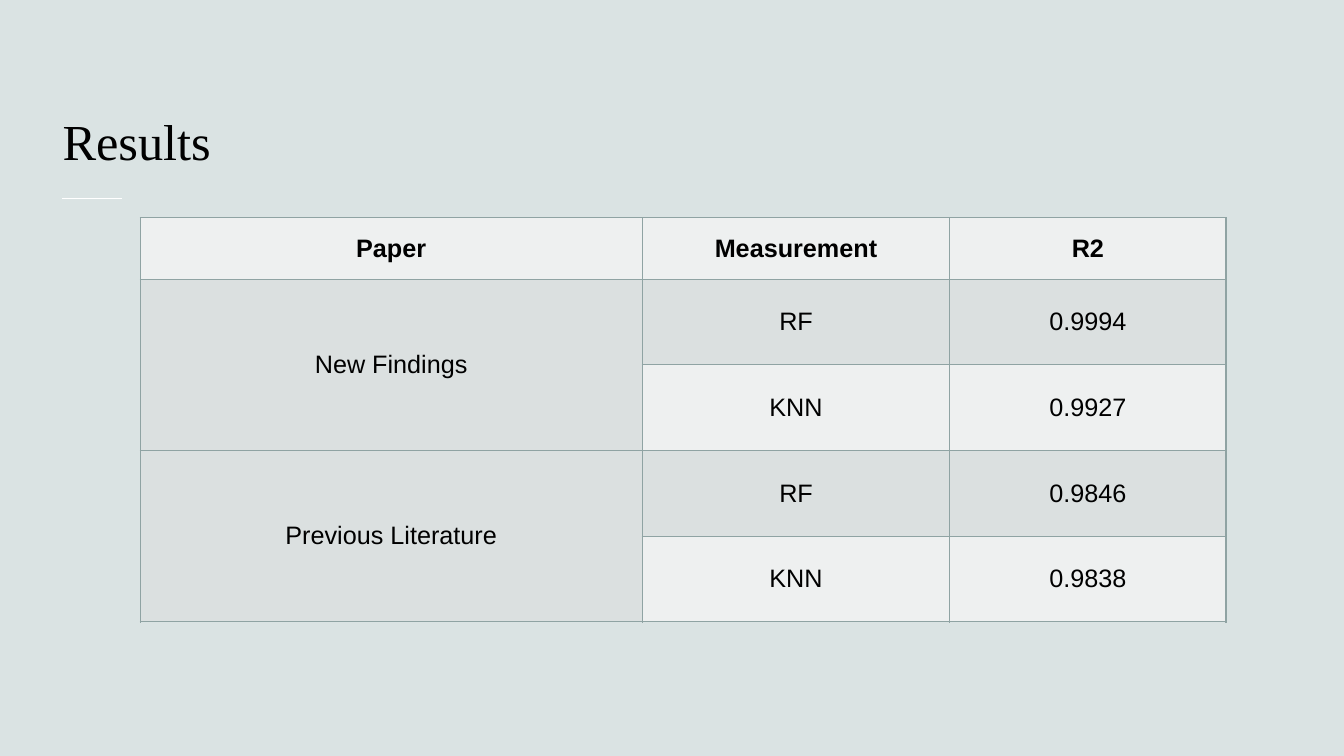
from lxml import etree
from pptx import Presentation
from pptx.dml.color import RGBColor
from pptx.enum import shapes, text
from pptx.oxml import ns
from pptx.util import Inches, Pt

TITLE = "Results"
HEADER = ("Paper", "Measurement", "R2")
PAPERS = (
    ("New Findings", (("RF", "0.9994"), ("KNN", "0.9927"))),
    ("Previous Literature", (("RF", "0.9846"), ("KNN", "0.9838"))),
)
COLUMN_WIDTHS = (4.98, 3.05, 2.74)
HEADER_HEIGHT, ROW_HEIGHT = 0.61, 0.85
TABLE_LEFT, TABLE_TOP = 1.39, 2.16

BACKGROUND = RGBColor(0xDA, 0xE3, 0xE3)
LIGHT = RGBColor(0xEE, 0xF0, 0xF0)
DARK = RGBColor(0xDB, 0xE0, 0xE0)
BORDER = RGBColor(0x8F, 0xA3, 0xA3)
WHITE = RGBColor(0xFF, 0xFF, 0xFF)
BLACK = RGBColor(0, 0, 0)


def set_font(para, name, size, bold=False):
    para.font.name = name
    para.font.size = Pt(size)
    para.font.bold = bold
    para.font.color.rgb = BLACK


def add_borders(cell):
    properties = cell._tc.get_or_add_tcPr()
    for side in ("lnL", "lnR", "lnT", "lnB"):
        line = etree.SubElement(properties, ns.qn(f"a:{side}"), w=str(Pt(1)))
        fill = etree.SubElement(line, ns.qn("a:solidFill"))
        etree.SubElement(fill, ns.qn("a:srgbClr"), val=str(BORDER))


def format_cell(cell, color, bold):
    add_borders(cell)
    cell.fill.solid()
    cell.fill.fore_color.rgb = color
    cell.vertical_anchor = text.MSO_ANCHOR.MIDDLE
    para = cell.text_frame.paragraphs[0]
    para.alignment = text.PP_ALIGN.CENTER
    set_font(para, "Arial", 18, bold)


def add_title(page):
    title = page.shapes.title
    title.left, title.top = Inches(0.62), Inches(0.44)
    title.width, title.height = Inches(12.08), Inches(1.3)
    frame = title.text_frame
    frame.text = TITLE
    frame.auto_size = text.MSO_AUTO_SIZE.NONE
    frame.vertical_anchor = text.MSO_ANCHOR.BOTTOM
    frame.margin_left = 0
    frame.paragraphs[0].alignment = text.PP_ALIGN.LEFT
    set_font(frame.paragraphs[0], "Times New Roman", 36)


def add_accent(page):
    accent = page.shapes.add_connector(
        shapes.MSO_CONNECTOR.STRAIGHT,
        Inches(0.62), Inches(1.97), Inches(1.21), Inches(1.97))
    accent.line.color.rgb = WHITE
    accent.line.width = Pt(1)
    etree.SubElement(accent._element.spPr, ns.qn("a:effectLst"))


def add_results(page):
    rows = [HEADER]
    spans = []
    for paper, measurements in PAPERS:
        spans.append((len(rows), len(rows) + len(measurements) - 1))
        for index, values in enumerate(measurements):
            rows.append(("" if index else paper, *values))

    heights = [HEADER_HEIGHT] + [ROW_HEIGHT] * (len(rows) - 1)
    table = page.shapes.add_table(
        len(rows), len(HEADER), Inches(TABLE_LEFT), Inches(TABLE_TOP),
        Inches(sum(COLUMN_WIDTHS)), Inches(sum(heights))).table
    for column, width in zip(table.columns, COLUMN_WIDTHS):
        column.width = Inches(width)
    for r, (values, height) in enumerate(zip(rows, heights)):
        table.rows[r].height = Inches(height)
        for c, value in enumerate(values):
            cell = table.cell(r, c)
            cell.text = value
            is_dark = r > 0 and (c == 0 or r % 2 == 1)
            format_cell(cell, DARK if is_dark else LIGHT, r == 0)
    for first, last in spans:
        table.cell(first, 0).merge(table.cell(last, 0))


def main():
    """Build the results slide and save it."""
    deck = Presentation()
    deck.slide_width, deck.slide_height = Inches(13.33), Inches(7.5)
    page = deck.slides.add_slide(deck.slide_layouts[5])
    page.background.fill.solid()
    page.background.fill.fore_color.rgb = BACKGROUND
    add_accent(page)
    add_title(page)
    add_results(page)
    deck.save("out.pptx")


if __name__ == "__main__":
    main()
